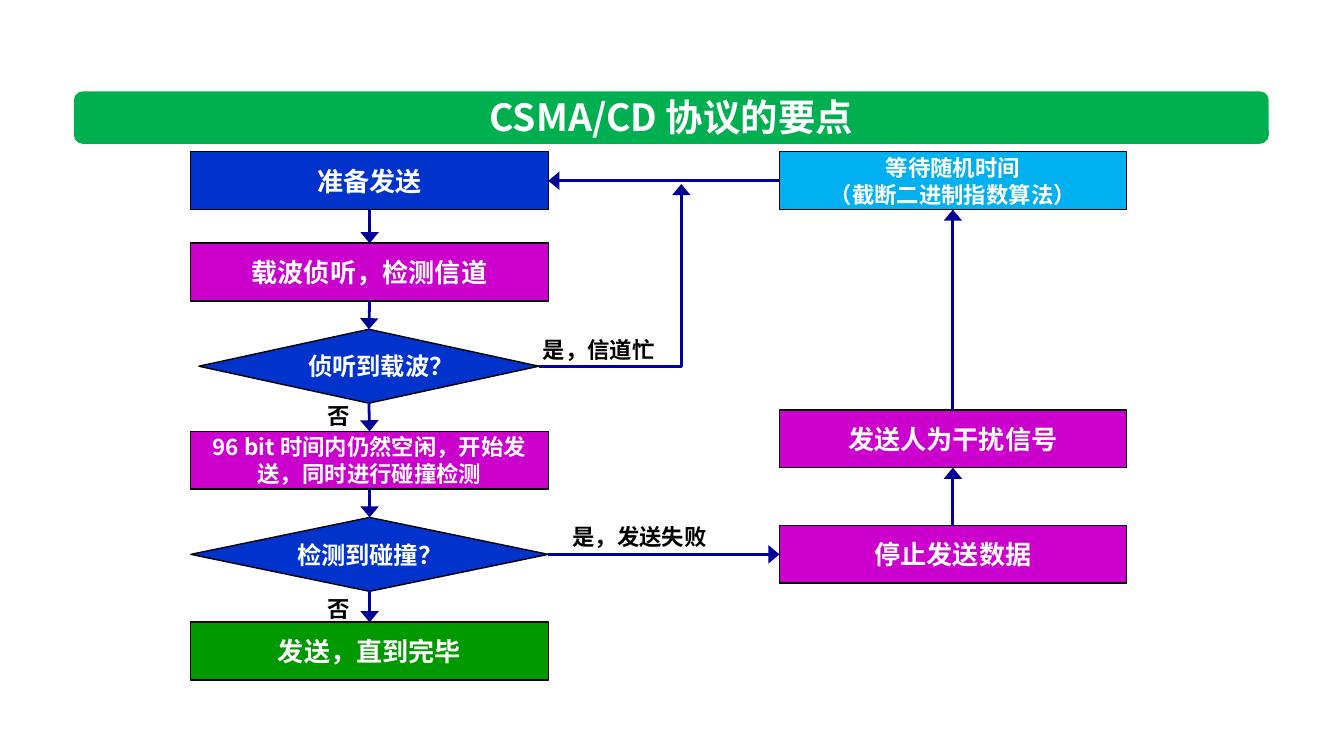
from lxml import etree
from pptx import Presentation
from pptx import util as u
from pptx.dml.color import RGBColor
from pptx.enum import shapes, text
from pptx.oxml.ns import qn

FONT = "Noto Sans CJK SC"
RECT, DIAMOND = shapes.MSO_SHAPE.RECTANGLE, shapes.MSO_SHAPE.DIAMOND
TOP, LEFT, BOTTOM, RIGHT = range(4)
BLUE, PURPLE, GREEN, SKY = "0033CC", "CC00CC", "009900", "00B0F0"


def rgb(value):
    return RGBColor.from_string(value)


def write(sp, content, size, color, align):
    tf = sp.text_frame
    tf.text = content
    for p in tf.paragraphs:
        p.alignment = align
        for r in p.runs:
            r.font.size, r.font.bold, r.font.name = u.Pt(size), True, FONT
            r.font.color.rgb = rgb(color)
            etree.SubElement(r._r.get_or_add_rPr(), qn("a:ea")).set("typeface", FONT)


prs = Presentation()
prs.slide_width = u.Inches(10)
prs.slide_height = prs.slide_width * 9 // 16
s = prs.slides.add_slide(prs.slide_layouts[5])

bar = s.shapes.add_shape(shapes.MSO_SHAPE.ROUNDED_RECTANGLE,
                         u.Inches(0.55), u.Inches(0.68), u.Inches(8.89), u.Inches(0.39))
bar.shadow.inherit = False
bar.fill.solid()
bar.fill.fore_color.rgb = rgb("00B050")
bar.line.fill.background()

title = s.shapes.title
title.left, title.top, title.width, title.height = map(u.Inches, (3.45, 0.65, 3.09, 0.44))
write(title, "CSMA/CD 协议的要点", 20, "FFFFFF", text.PP_ALIGN.CENTER)
title.text_frame.word_wrap = False
title.text_frame.vertical_anchor = text.MSO_ANCHOR.MIDDLE
bar._element.addnext(title._element)

main_x, side_x, box_h, diamond_h = 1.42, 5.8, 0.43, 0.55
main_w, side_w = 2.66, 2.58
nodes = {
    "ready": (RECT, main_x, 1.13, main_w, box_h, BLUE, 14, "准备发送"),
    "listen": (RECT, main_x, 1.81, main_w, box_h, PURPLE, 14, "载波侦听，检测信道"),
    "carrier": (DIAMOND, 1.48, 2.45, 2.53, diamond_h, BLUE, 13, "侦听到载波？"),
    "send": (RECT, main_x, 3.21, main_w, box_h, PURPLE, 12,
             "96 bit 时间内仍然空闲，开始发送，同时进行碰撞检测"),
    "collision": (DIAMOND, main_x, 3.85, main_w, diamond_h, BLUE, 13, "检测到碰撞？"),
    "done": (RECT, main_x, 4.63, main_w, box_h, GREEN, 14, "发送，直到完毕"),
    "stop": (RECT, side_x, 3.91, side_w, box_h, PURPLE, 14, "停止发送数据"),
    "jam": (RECT, side_x, 3.05, side_w, box_h, PURPLE, 14, "发送人为干扰信号"),
    "wait": (RECT, side_x, 1.13, side_w, box_h, SKY, 12, "等待随机时间\n（截断二进制指数算法）"),
}
boxes = {}
for name, (kind, x, y, w, h, fill, size, label) in nodes.items():
    sp = s.shapes.add_shape(kind, u.Inches(x), u.Inches(y), u.Inches(w), u.Inches(h))
    sp.shadow.inherit = False
    sp.fill.solid()
    sp.fill.fore_color.rgb = rgb(fill)
    sp.line.color.rgb = rgb("000000")
    sp.line.width = u.Pt(0.75)
    sp.text_frame.vertical_anchor = text.MSO_ANCHOR.MIDDLE
    write(sp, label, size, "FFFFFF", text.PP_ALIGN.CENTER)
    boxes[name] = sp
tf = boxes["carrier"].text_frame
tf.margin_left = tf.margin_right = u.Inches(0.15)

steps = ["ready", "listen", "carrier", "send", "collision", "done"]
links = [(a, BOTTOM, b, TOP) for a, b in zip(steps, steps[1:])]
links += [
    ("collision", RIGHT, "stop", LEFT),
    ("stop", TOP, "jam", BOTTOM),
    ("jam", TOP, "wait", BOTTOM),
    ("wait", LEFT, "ready", RIGHT),
    ("carrier", RIGHT, None, None),
]
for start, start_side, end, end_side in links:
    kind = shapes.MSO_CONNECTOR.STRAIGHT if end else shapes.MSO_CONNECTOR.ELBOW
    c = s.shapes.add_connector(kind, u.Inches(4.01), u.Inches(2.72),
                               u.Inches(5.07), u.Inches(1.37))
    c.begin_connect(boxes[start], start_side)
    if end:
        c.end_connect(boxes[end], end_side)
    else:
        c._element.spPr.find(qn("a:prstGeom")).set("prst", "bentConnector2")
    c.line.color.rgb = rgb("000099")
    c.line.width = u.Pt(1.5)
    head = etree.SubElement(c.line._get_or_add_ln(), qn("a:tailEnd"))
    head.set("type", "triangle")
    head.set("w", "lg")
    etree.SubElement(c._element.spPr, qn("a:effectLst"))

for x, y, w, label in [
    (3.94, 2.45, 1.04, "是，信道忙"),
    (4.16, 3.84, 1.21, "是，发送失败"),
    (2.34, 2.94, 0.37, "否"),
    (2.34, 4.38, 0.37, "否"),
]:
    tb = s.shapes.add_textbox(u.Inches(x), u.Inches(y), u.Inches(w), u.Inches(0.3))
    tb.text_frame.word_wrap = False
    write(tb, label, 12, "000000", text.PP_ALIGN.LEFT)

prs.save("out.pptx")
